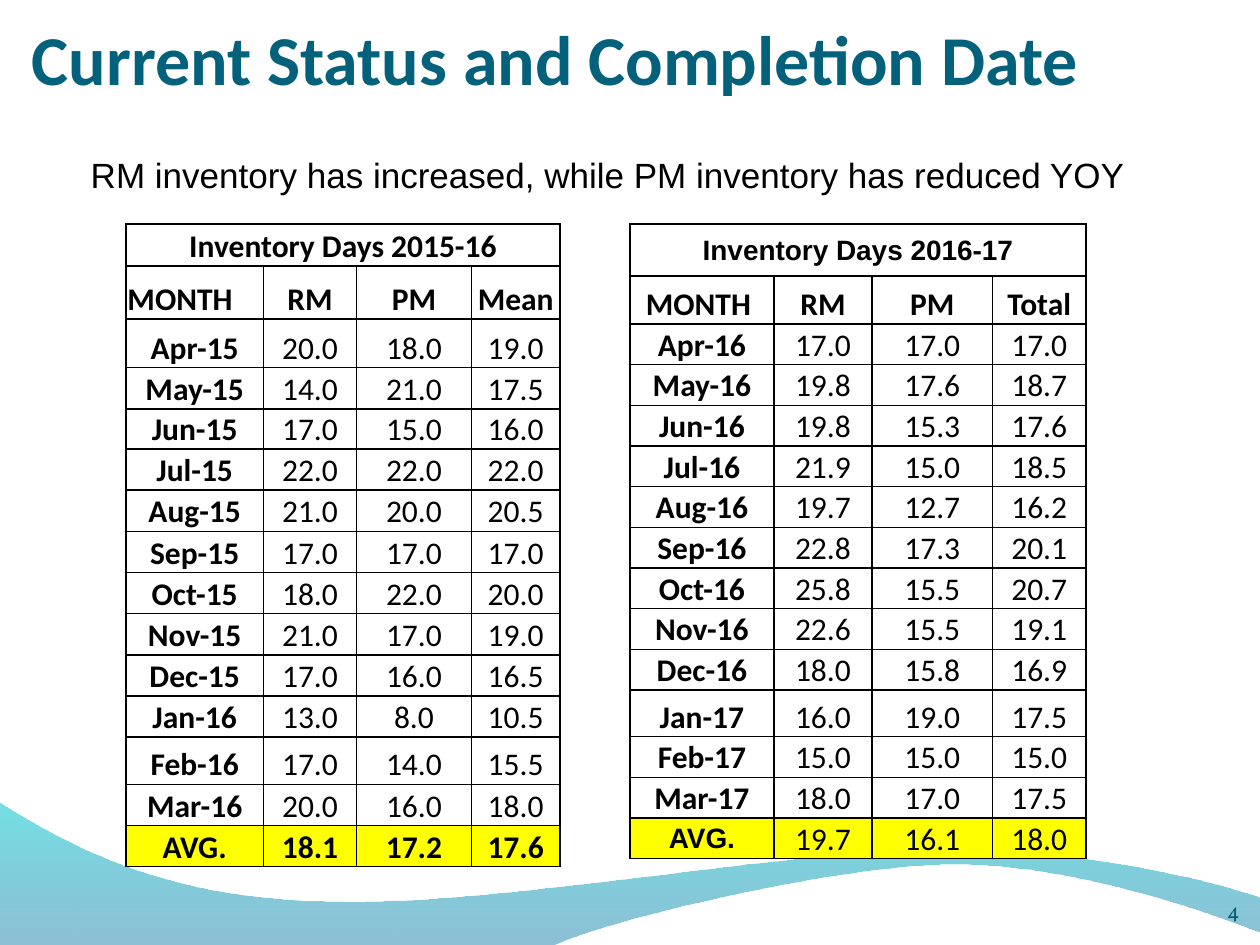
"""Build the inventory days slide with two yearly tables over a wave."""
from lxml.etree import SubElement
from pptx import Presentation
from pptx.dml.color import RGBColor
from pptx.enum.text import MSO_VERTICAL_ANCHOR as Anchor, PP_PARAGRAPH_ALIGNMENT as Align
from pptx.oxml.ns import qn
from pptx.util import Cm, Pt


def colour(value):
    return RGBColor.from_string(value)


def write(frame, paragraph, text, layout, alignment, font):
    for name, value in layout.items():
        setattr(frame, name, value)
    paragraph.text = text
    paragraph.alignment = alignment
    for name, value in font.items():
        if name == "color":
            paragraph.font.color.rgb = colour(value)
        else:
            setattr(paragraph.font, name, value)


presentation = Presentation()
presentation.slide_width, presentation.slide_height = Cm(25.4), Cm(19.05)
slide = presentation.slides.add_slide(presentation.slide_layouts[6])

wave_sections = [
    [(11.18, 19.05)],
    [(12.09, 18.59), (16.87, 17.42), (19.25, 17.42)],
    [(21.67, 17.42), (24.33, 18.39), (25.4, 18.8)],
    [(25.43, 18.11)],
    [(24.97, 17.91), (22.1, 17.09), (18.95, 17.12)],
    [(15.8, 17.12), (9.7, 18.31), (6.53, 18.16)],
    [(3.28, 18.14), (1.17, 16.92), (-0.03, 16.15)],
]
point = (0, 19.05)
outline = []
for section in wave_sections:
    if len(section) == 1:
        outline.append(section[0])
    else:
        first, second, end = section
        for step in range(1, 25):
            t = step / 24
            weights = ((1 - t) ** 3, 3 * t * (1 - t) ** 2, 3 * t**2 * (1 - t), t**3)
            corners = (point, first, second, end)
            outline.append(tuple(sum(w * c[axis] for w, c in zip(weights, corners)) for axis in (0, 1)))
    point = section[-1]
builder = slide.shapes.build_freeform(Cm(0), Cm(19.05))
builder.add_line_segments([(Cm(x), Cm(y)) for x, y in outline], close=True)
wave = builder.convert_to_shape()
wave.shadow.inherit = False
wave.line.fill.background()
wave.fill.gradient()
wave.fill.gradient_angle = 90
for stop, value, opacity in zip(wave.fill.gradient_stops, ("0074A1", "00C6CF"), (45, 55)):
    stop.color.rgb = colour(value)
for node, opacity in zip(wave.element.spPr.iter(qn("a:srgbClr")), (45, 55)):
    SubElement(node, qn("a:alpha"), val=str(opacity * 1000))

texts = [
    ("Current Status and Completion Date", (0.51, 0.33, 24.89, 1.8), 0.13, Align.LEFT,
     {"size": Pt(40), "name": "Calibri", "bold": True, "color": "04617B"}),
    ("4", (23.29, 17.58, 1.7, 1.02), 0, Align.RIGHT,
     {"size": Pt(12), "name": "Vollkorn", "color": "045D75"}),
    ("RM inventory has increased, while PM inventory has reduced YOY", (1.7, 3, 23.2, 1.08), 0.13, Align.LEFT,
     {"size": Pt(20), "name": "Arial", "color": "000000"}),
]
for text, place, inset, alignment, font in texts:
    frame = slide.shapes.add_textbox(*map(Cm, place)).text_frame
    layout = {"word_wrap": True, "vertical_anchor": Anchor.BOTTOM}
    layout.update({f"margin_{side}": Cm(inset) for side in ("left", "right", "top", "bottom")})
    write(frame, frame.paragraphs[0], text, layout, alignment, font)

months = "Apr May Jun Jul Aug Sep Oct Nov Dec Jan Feb Mar".split()
tables = [
    {
        "title": "Inventory Days 2015-16", "left": 2.54, "year": 15,
        "columns": (2.77, 1.88, 2.31, 1.79),
        "rows": [0.84, 1.07, 0.98, 0.83, 0.81] + [0.83] * 7 + [0.95] + [0.83] * 2,
        "header": ("MONTH", "RM", "PM", "Mean"), "header_alignment": Align.JUSTIFY,
        "label_font": {}, "label_anchor": Anchor.BOTTOM, "average_bold": True,
        "values": [
            "20.0 14.0 17.0 22.0 21.0 17.0 18.0 21.0 17.0 13.0 17.0 20.0 18.1",
            "18.0 21.0 15.0 22.0 20.0 17.0 22.0 17.0 16.0 8.0 14.0 16.0 17.2",
            "19.0 17.5 16.0 22.0 20.5 17.0 20.0 19.0 16.5 10.5 15.5 18.0 17.6",
        ],
    },
    {
        "title": "Inventory Days 2016-17", "left": 12.7, "year": 16,
        "columns": (2.9, 1.98, 2.43, 1.88),
        "rows": [1.04, 0.97] + [0.82] * 9 + [0.94] + [0.82] * 3,
        "header": ("MONTH ", "RM", "PM", "Total"), "header_alignment": Align.CENTER,
        "label_font": {"size": Pt(16), "name": "Arial"}, "label_anchor": Anchor.MIDDLE, "average_bold": False,
        "values": [
            "17.0 19.8 19.8 21.9 19.7 22.8 25.8 22.6 18.0 16.0 15.0 18.0 19.7",
            "17.0 17.6 15.3 15.0 12.7 17.3 15.5 15.5 15.8 19.0 15.0 17.0 16.1",
            "17.0 18.7 17.6 18.5 16.2 20.1 20.7 19.1 16.9 17.5  15.0 17.5 18.0",
        ],
    },
]
for data in tables:
    labels = [f"{month}-{data['year'] + (index > 8)}" for index, month in enumerate(months)] + ["AVG."]
    columns = [labels] + [values.split(" ") for values in data["values"]]
    columns = [[value for value in column if value.strip()] for column in columns]
    grid = [(data["title"], "", "", ""), data["header"], *zip(*columns)]
    last = len(grid) - 1
    table = slide.shapes.add_table(
        len(grid), 4, Cm(data["left"]), Cm(4.52), Cm(sum(data["columns"])), Cm(sum(data["rows"]))
    ).table
    table.first_row = table.horz_banding = False
    for column, width in zip(table.columns, data["columns"]):
        column.width = Cm(width)
    for row, height in zip(table.rows, data["rows"]):
        row.height = Cm(height)
    table.cell(0, 0).merge(table.cell(0, 3))
    for row, values in enumerate(grid):
        for column, value in enumerate(values):
            cell = table.cell(row, column)
            special = column == 0 and row in (0, last)
            font = {"size": Pt(18), "name": "Calibri", "color": "000000",
                    "bold": row < 2 or column == 0 or (row == last and data["average_bold"])}
            layout = {"vertical_anchor": data["label_anchor"] if special else Anchor.BOTTOM, "margin_bottom": 0}
            layout.update({f"margin_{side}": Cm(0.03) for side in ("left", "right", "top")})
            if special:
                font.update(data["label_font"])
            alignment = data["header_alignment"] if (row, column) == (1, 0) else Align.CENTER
            write(cell, cell.text_frame.paragraphs[0], value, layout, alignment, font)
            properties = cell._tc.get_or_add_tcPr()
            for side in "LRTB":
                border = SubElement(properties, qn(f"a:ln{side}"), w=str(Pt(1)))
                SubElement(SubElement(border, qn("a:solidFill")), qn("a:srgbClr"), val="000000")
            cell.fill.solid()
            cell.fill.fore_color.rgb = colour("FFFF00" if row == last else "FFFFFF")

presentation.save("out.pptx")
